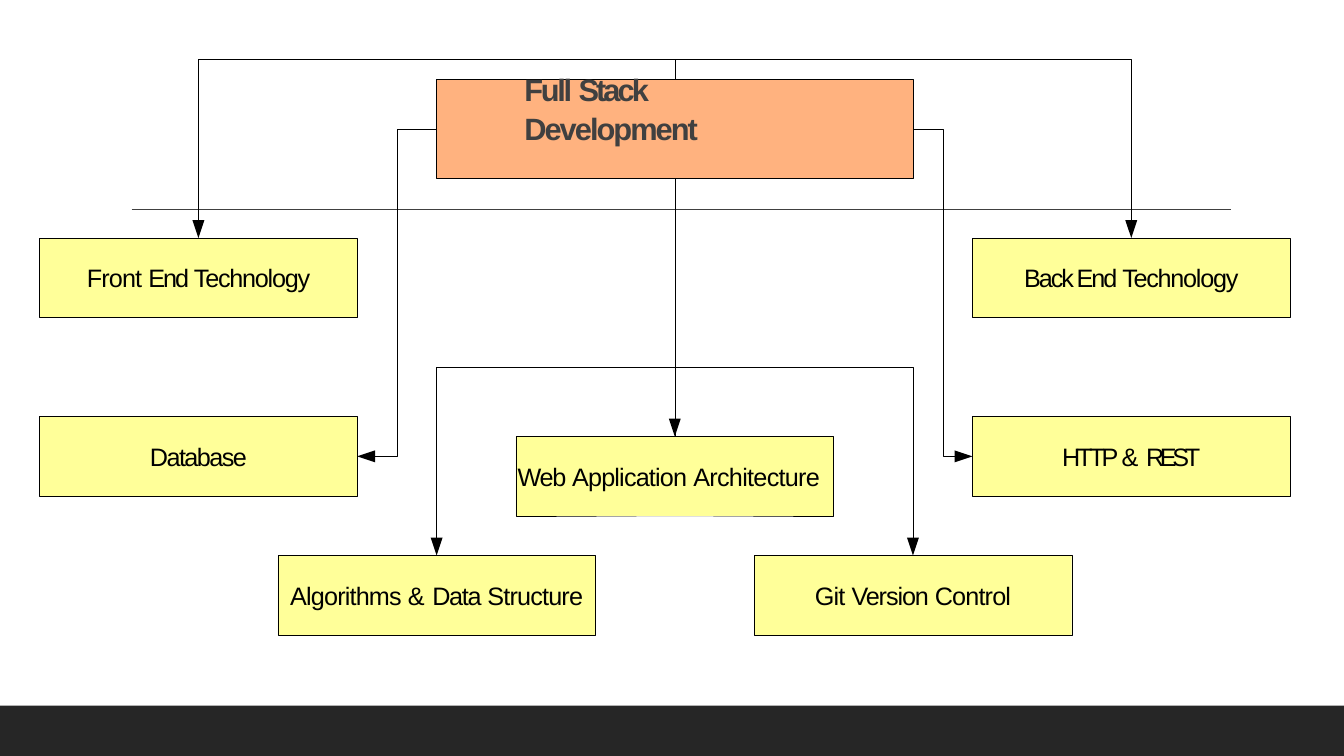
from dataclasses import dataclass
from typing import NamedTuple

from lxml import etree
from pptx import Presentation
from pptx.dml.color import RGBColor
from pptx.enum.shapes import MSO_CONNECTOR, MSO_SHAPE
from pptx.enum.text import MSO_ANCHOR, PP_ALIGN
from pptx.oxml.ns import qn
from pptx.util import Inches, Mm, Pt

RECTANGLE = MSO_SHAPE.RECTANGLE
STRAIGHT = MSO_CONNECTOR.STRAIGHT
MIDDLE, BOTTOM = MSO_ANCHOR.MIDDLE, MSO_ANCHOR.BOTTOM
LEFT, CENTER = PP_ALIGN.LEFT, PP_ALIGN.CENTER
TOP_SIDE, BOTTOM_SIDE = 0, 2
UNIT = Mm(5)
HEAD_LENGTH, HEAD_HALF = 0.9, 0.3
TOPIC_COLUMNS, TOPIC_ROWS = 16, 4


@dataclass(frozen=True)
class Theme:
    font: str = "Arial"
    ink: str = "000000"
    heading: str = "404040"
    footer: str = "262626"
    root: str = "FF6600"
    topic: str = "FFFF99"
    root_opacity: int = 50
    root_size: float = 22
    topic_size: float = 18
    outline: float = 0.25
    rule: float = 1


class Word(NamedTuple):
    text: str
    spacing: float


class Point(NamedTuple):
    column: float
    row: float


@dataclass(frozen=True)
class Topic:
    column: float
    row: float
    words: tuple[Word, ...]
    right_inset: float = 0


@dataclass(frozen=True)
class Route:
    corners: tuple[Point, ...]


THEME = Theme()

ROOT_WORDS = (Word("Full ", -1.6), Word("Stack ", -2.1), Word("Development", -1.4))

ARCHITECTURE = Topic(26, 22, (Word("Web ", -0.9), Word("Application ", -0.6),
                              Word("Architecture", -0.5)), 0.12)
TOPICS = (
    Topic(2, 21, (Word("Database", -1.1),)),
    Topic(49, 21, (Word("HTTP ", -2.3), Word("& ", 0.2), Word("REST", -3.1))),
    Topic(14, 28, (Word("Algorithms ", -0.6), Word("& ", 0.2),
                   Word("Data ", -0.9), Word("Structure", -0.6))),
    Topic(38, 28, (Word("Git ", -0.6), Word("Version ", -0.8), Word("Control", -0.6))),
    Topic(2, 12, (Word("Front ", -0.6), Word("End ", -1.5), Word("Technology", -0.9))),
    Topic(49, 12, (Word("Back End ", -1.5), Word("Technology", -0.9))),
)

ROUTES = (
    Route((Point(22, 6.5), Point(20, 6.5), Point(20, 23), Point(18, 23))),
    Route((Point(46, 6.5), Point(47.5, 6.5), Point(47.5, 23), Point(49, 23))),
    Route((Point(34, 9), Point(34, 18.5), Point(22, 18.5), Point(22, 28))),
    Route((Point(34, 9), Point(34, 18.5), Point(46, 18.5), Point(46, 28))),
    Route((Point(34, 4), Point(34, 3), Point(10, 3), Point(10, 12))),
    Route((Point(34, 4), Point(34, 3), Point(57, 3), Point(57, 12))),
)


def grid(units: float) -> int:
    return round(units * UNIT)


def rgb(color: str) -> RGBColor:
    return RGBColor.from_string(color)


def apply(target, values: dict) -> None:
    for attribute, value in values.items():
        setattr(target, attribute, value)


def paint(shape, fill: str | None, line: str | None) -> None:
    shape.shadow.inherit = False
    if fill:
        shape.fill.solid()
        shape.fill.fore_color.rgb = rgb(fill)
    else:
        shape.fill.background()
    if line:
        shape.line.color.rgb = rgb(line)
        shape.line.width = Pt(THEME.outline)
    else:
        shape.line.fill.background()


def write(shape, words: tuple[Word, ...], frame_format: dict,
          paragraph_format: dict, font_format: dict, color: str) -> None:
    frame = shape.text_frame
    apply(frame, frame_format)
    paragraph = frame.paragraphs[0]
    apply(paragraph, paragraph_format)
    for word in words:
        run = paragraph.add_run()
        run.text = word.text
        apply(run.font, {"name": THEME.font, **font_format})
        run.font.color.rgb = rgb(color)
        run.font._element.set("spc", str(round(word.spacing * 100)))


def draw_root(shapes):
    root = shapes.add_shape(RECTANGLE, grid(22), grid(4), grid(24), grid(5))
    paint(root, THEME.root, THEME.ink)
    tint = root.fill._xPr.find(qn("a:solidFill"))[0]
    etree.SubElement(tint, qn("a:alpha")).set("val", str(THEME.root_opacity * 1000))
    write(root, ROOT_WORDS,
          {"margin_left": Inches(0.87), "margin_right": Inches(0.86), "margin_top": 0,
           "margin_bottom": Inches(0.32), "vertical_anchor": BOTTOM, "word_wrap": True},
          {"alignment": LEFT, "line_spacing": 1.05},
          {"size": Pt(THEME.root_size), "bold": True}, THEME.heading)
    return root


def draw_topic(shapes, topic: Topic):
    box = shapes.add_shape(RECTANGLE, grid(topic.column), grid(topic.row),
                           grid(TOPIC_COLUMNS), grid(TOPIC_ROWS))
    paint(box, THEME.topic, THEME.ink)
    write(box, topic.words,
          {"margin_left": 0, "margin_right": Inches(topic.right_inset), "margin_top": 0,
           "margin_bottom": 0, "vertical_anchor": MIDDLE, "word_wrap": True},
          {"alignment": CENTER}, {"size": Pt(THEME.topic_size)}, THEME.ink)
    return box


def draw_path(shapes, points: list[Point], closed: bool) -> None:
    start, *rest = [(grid(p.column), grid(p.row)) for p in points]
    builder = shapes.build_freeform(*start)
    builder.add_line_segments(rest, close=closed)
    fill, line = (THEME.ink, None) if closed else (None, THEME.ink)
    paint(builder.convert_to_shape(), fill, line)


def draw_head(shapes, previous: Point, tip: Point) -> Point:
    across, down = tip.column - previous.column, tip.row - previous.row
    length = abs(across) + abs(down)
    across, down = across / length, down / length
    base = Point(tip.column - across * HEAD_LENGTH, tip.row - down * HEAD_LENGTH)
    wings = [Point(base.column + side * down, base.row + side * across)
             for side in (HEAD_HALF, -HEAD_HALF)]
    draw_path(shapes, [*wings, tip], True)
    return base


def draw_route(shapes, route: Route) -> None:
    base = draw_head(shapes, *route.corners[-2:])
    draw_path(shapes, [*route.corners[:-1], base], False)


def draw_line(shapes, start: tuple[int, int], end: tuple[int, int],
              color: str, width: float):
    line = shapes.add_connector(STRAIGHT, *start, *end)
    line.line.color.rgb = rgb(color)
    line.line.width = Pt(width)
    etree.SubElement(line._element.spPr, qn("a:effectLst"))
    return line


def main() -> None:
    deck = Presentation()
    apply(deck, {"slide_width": Inches(13.33), "slide_height": Inches(7.5)})
    width, height = deck.slide_width, deck.slide_height
    shapes = deck.slides.add_slide(deck.slide_layouts[6]).shapes

    footer_top = height * 14 // 15
    footer = shapes.add_shape(RECTANGLE, 0, footer_top, width, height - footer_top)
    paint(footer, THEME.footer, None)
    rule_row = round(height * 0.277)
    draw_line(shapes, (round(width * 0.098), rule_row),
              (round(width * 0.916), rule_row), THEME.heading, THEME.rule)

    root = draw_root(shapes)
    architecture = draw_topic(shapes, ARCHITECTURE)
    for topic in TOPICS:
        draw_topic(shapes, topic)

    root_foot, architecture_top = Point(34, 9), Point(34, 22)
    trunk = draw_line(shapes, (grid(34), grid(9)), (grid(34), grid(22)),
                      THEME.ink, THEME.outline)
    trunk.begin_connect(root, BOTTOM_SIDE)
    trunk.end_connect(architecture, TOP_SIDE)
    draw_head(shapes, root_foot, architecture_top)
    for route in ROUTES:
        draw_route(shapes, route)

    deck.save("out.pptx")


if __name__ == "__main__":
    main()
